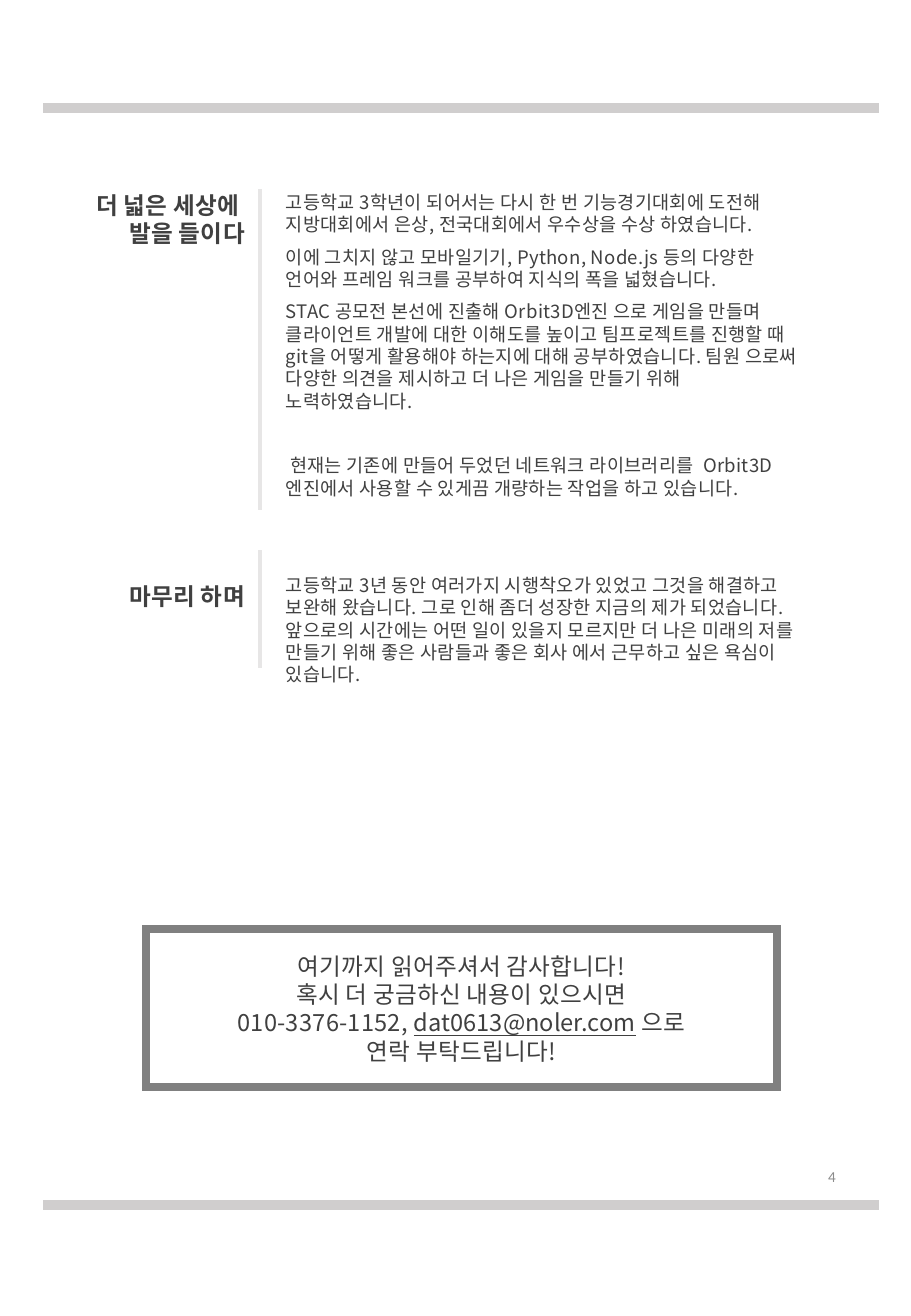
from lxml import etree
from pptx import Presentation
from pptx.dml.color import RGBColor
from pptx.enum.shapes import MSO_SHAPE
from pptx.enum.text import MSO_ANCHOR, PP_ALIGN
from pptx.oxml.ns import qn
from pptx.util import Emu, Inches, Pt

RECT = MSO_SHAPE.RECTANGLE
TOP, MIDDLE = MSO_ANCHOR.TOP, MSO_ANCHOR.MIDDLE
LEFT, CENTER, RIGHT = PP_ALIGN.LEFT, PP_ALIGN.CENTER, PP_ALIGN.RIGHT

SCALE = 914400 / 121.5
KOREAN, LATIN = "Noto Sans CJK KR", "Calibri"
LINE_HEIGHT = 1.2
LETTER_SPACING = 13  # hundredths of a point
BODY_SIZE, TITLE_SIZE, NUMBER_SIZE = 11, 14, 9
COLORS = {
    "text": "404040",
    "email": "3F3F3F",
    "number": "8C8C8C",
    "band": "D0CECE",
    "divider": "E7E6E6",
    "frame": "808080",
    "white": "FFFFFF",
}

# Each body paragraph: space before in points, text
BODY = [
    (0, "고등학교 3학년이 되어서는 다시 한 번 기능경기대회에 도전해 지방대회에서 은상, "
        "전국대회에서 우수상을 수상 하였습니다."),
    (6, "이에 그치지 않고 모바일기기, Python, Node.js 등의 다양한 언어와 프레임 워크를 "
        "공부하여 지식의 폭을 넓혔습니다."),
    (6, "STAC 공모전 본선에 진출해 Orbit3D엔진 으로 게임을 만들며 클라이언트 개발에 대한 "
        "이해도를 높이고 팀프로젝트를 진행할 때 git을 어떻게 활용해야 하는지에 대해 "
        "공부하였습니다. 팀원 으로써 다양한 의견을 제시하고 더 나은 게임을 만들기 위해 "
        "노력하였습니다."),
    (25.2, " 현재는 기존에 만들어 두었던 네트워크 라이브러리를  Orbit3D엔진에서 사용할 수 "
           "있게끔 개량하는 작업을 하고 있습니다."),
    (44.4, "고등학교 3년 동안 여러가지 시행착오가 있었고 그것을 해결하고 보완해 왔습니다. "
           "그로 인해 좀더 성장한 지금의 제가 되었습니다. 앞으로의 시간에는 어떤 일이 "
           "있을지 모르지만 더 나은 미래의 저를 만들기 위해 좋은 사람들과 좋은 회사 에서 "
           "근무하고 싶은 욕심이 있습니다."),
]
CONTACT = [
    ["여기까지 읽어주셔서 감사합니다!"],
    ["혹시 더 궁금하신 내용이 있으시면"],
    ["010-3376-1152, ", "dat0613@noler.com", " 으로"],
    ["연락 부탁드립니다!"],
]


def px(value):
    return Emu(round(value * SCALE))


def rgb(name):
    return RGBColor.from_string(COLORS[name])


def add_rect(page, area, fill, line, width):
    box = page.shapes.add_shape(RECT, *map(px, area))
    box.shadow.inherit = False
    if fill:
        box.fill.solid()
        box.fill.fore_color.rgb = rgb(fill)
    else:
        box.fill.background()
    box.line.color.rgb = rgb(line)
    box.line.width = Pt(width)
    # Square corners
    outline = box._element.spPr.find(qn("a:ln"))
    etree.SubElement(outline, qn("a:miter"), lim="800000")
    return box


def add_text(page, area, anchor=TOP):
    box = page.shapes.add_textbox(*map(px, area))
    return prepare_frame(box, anchor)


def prepare_frame(box, anchor):
    frame = box.text_frame
    frame.word_wrap = True
    frame.vertical_anchor = anchor
    return frame


def add_para(frame, size, align, before=0):
    first = frame.paragraphs[0]
    para = frame.add_paragraph() if first.runs else first
    para.alignment = align
    para.space_before = Pt(before)
    para.line_spacing = Pt(size * LINE_HEIGHT)
    return para


def add_span(para, text, size, color="text", font=KOREAN, bold=False, underline=False):
    span = para.add_run()
    span.text = text
    span.font.size = Pt(size)
    span.font.name = font
    span.font.bold = bold
    span.font.underline = underline
    span.font.color.rgb = rgb(color)
    # East Asian typeface follows the Latin one
    properties = span.font._element
    east_asian = etree.Element(qn("a:ea"), typeface=font)
    properties.find(qn("a:latin")).addnext(east_asian)
    if font == KOREAN and not underline:
        properties.set("spc", str(LETTER_SPACING))


def add_title(page, top, height, lines):
    frame = add_text(page, (18, top, 239, height))
    for line in lines:
        add_span(add_para(frame, TITLE_SIZE, RIGHT), line, TITLE_SIZE, bold=True)


def add_body(page):
    frame = add_text(page, (274, 185, 537, 508))
    for before, text in BODY:
        add_span(add_para(frame, BODY_SIZE, LEFT, before), text, BODY_SIZE)


def add_contact(page):
    box = add_rect(page, (146, 929, 631, 158), None, "frame", 4.5)
    frame = prepare_frame(box, MIDDLE)
    for line in CONTACT:
        para = add_para(frame, TITLE_SIZE, CENTER)
        for text in line:
            is_email = "@" in text
            add_span(para, text, TITLE_SIZE, "email" if is_email else "text",
                     underline=is_email)


def add_page_number(page):
    frame = add_text(page, (643, 1141, 205, 70), MIDDLE)
    para = add_para(frame, NUMBER_SIZE, RIGHT)
    add_span(para, "4", NUMBER_SIZE, "number", LATIN)


def main():
    deck = Presentation()
    deck.slide_width, deck.slide_height = Inches(7.5), Inches(10.83)
    page = deck.slides.add_slide(deck.slide_layouts[6])

    # Page furniture
    add_page_number(page)
    for top in (102, 1199):
        add_rect(page, (42, top, 838, 12), "band", "white", 1)

    # Section texts and titles
    add_body(page)
    add_title(page, 185, 69, ["더 넓은 세상에 ", "발을 들이다"])
    add_title(page, 576, 41, ["마무리 하며"])

    # Closing message
    add_contact(page)

    # Dividers between titles and texts
    for top, height in ((188, 323), (549, 120)):
        add_rect(page, (257, top, 6, height), "divider", "white", 1)

    deck.save("out.pptx")


main()
